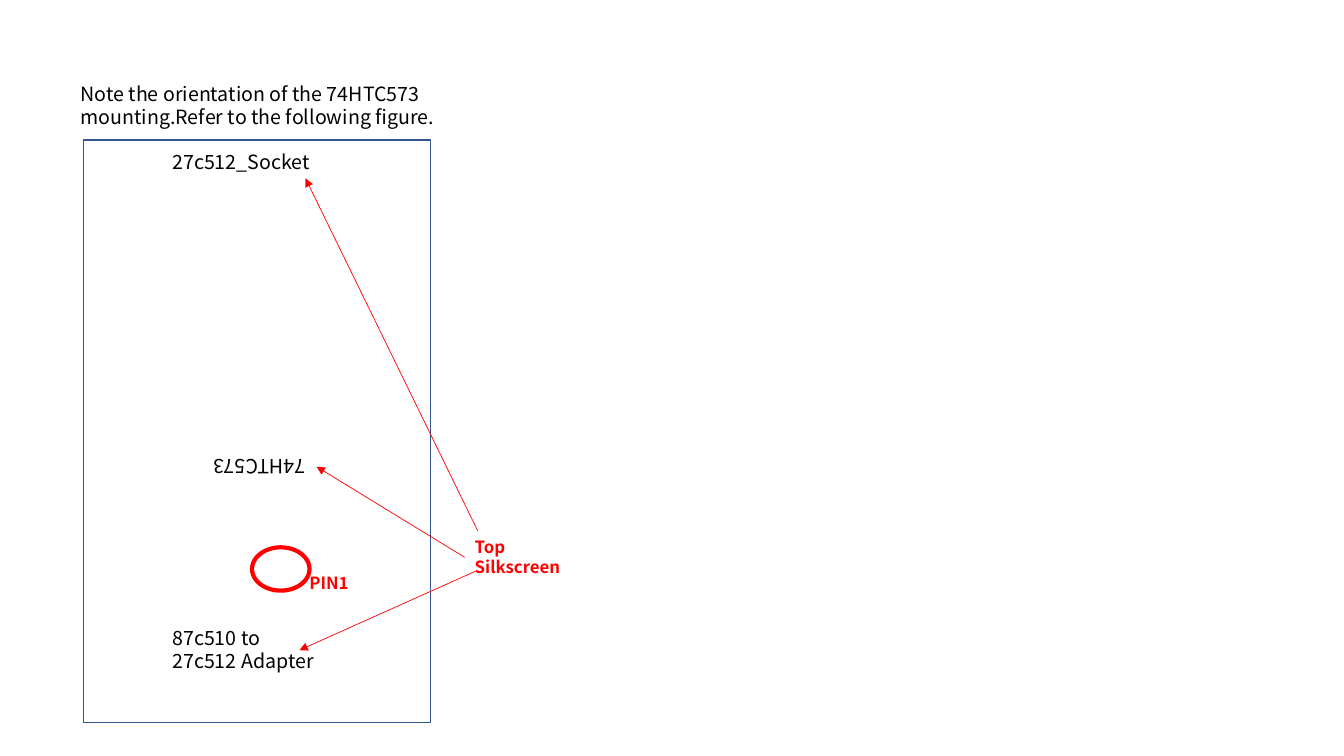
from lxml import etree
from pptx import Presentation
from pptx import util as u
from pptx.dml.color import RGBColor
from pptx.enum import shapes, text
from pptx.oxml.ns import qn

prs = Presentation()
prs.slide_width, prs.slide_height = u.Inches(13.33), u.Inches(7.5)
s = prs.slides.add_slide(prs.slide_layouts[6])
cell = prs.slide_height / 75
BLACK, RED, NAVY = "000000", "FF0000", "325491"


def grid(*cells):
    return [u.Emu(round(c * cell)) for c in cells]


def paint(color, value):
    color.rgb = RGBColor.from_string(value)


outlines = [
    (shapes.MSO_SHAPE.RECTANGLE, (8.3, 13.9, 34.4, 57.8), NAVY, 1),
    (shapes.MSO_SHAPE.OVAL, (25, 54.3, 5.7, 4.3), RED, 3),
]
for kind, box, color, width in outlines:
    sp = s.shapes.add_shape(kind, *grid(*box))
    sp.shadow.inherit = False
    sp.fill.background()
    paint(sp.line.color, color)
    sp.line.width = u.Pt(width)

labels = [
    (["PIN1"], (29.7, 56.4, 6.5, 3), RED, 0),
    (["27c512_Socket"], (16.1, 14.4, 20.1, 3.4), BLACK, 0),
    (["87c510 to", "27c512 Adapter"], (16.1, 61.6, 23.1, 5.7), BLACK, 0),
    (["Note the orientation of the 74HTC573",
      "mounting.Refer to the following figure."], (7, 7.7, 39.1, 5.7), BLACK, 0),
    (["Top", "Silkscreen"], (46.1, 52.8, 11.1, 5), RED, 0),
    (["74HTC573"], (18.6, 44.6, 12.7, 3.4), BLACK, 180),
]
for lines, box, color, angle in labels:
    sp = s.shapes.add_textbox(*grid(*box))
    sp.rotation = angle
    tf = sp.text_frame
    tf.word_wrap = color == BLACK
    tf.auto_size = text.MSO_AUTO_SIZE.SHAPE_TO_FIT_TEXT
    size = 14 if color == BLACK else 12
    for i, line in enumerate(lines):
        p = tf.add_paragraph() if i else tf.paragraphs[0]
        p.line_spacing = u.Pt(round(size * 1.18, 1))
        r = p.add_run()
        r.text = line
        r.font.name = "Noto Sans CJK JP"
        r.font.size = u.Pt(size)
        r.font.bold = color == RED
        paint(r.font.color, color)

arrows = [
    (47.4, 52.7, 30.3, 17.7),
    (47.1, 56.7, 29.7, 64.5),
    (46.1, 55.3, 31.4, 46.3),
]
for ends in arrows:
    sp = s.shapes.add_connector(shapes.MSO_CONNECTOR.STRAIGHT, *grid(*ends))
    paint(sp.line.color, RED)
    sp.line.width = u.Pt(0.5)
    etree.SubElement(sp.line._get_or_add_ln(), qn("a:tailEnd"), type="triangle")
    etree.SubElement(sp._element.spPr, qn("a:effectLst"))

prs.save("out.pptx")
